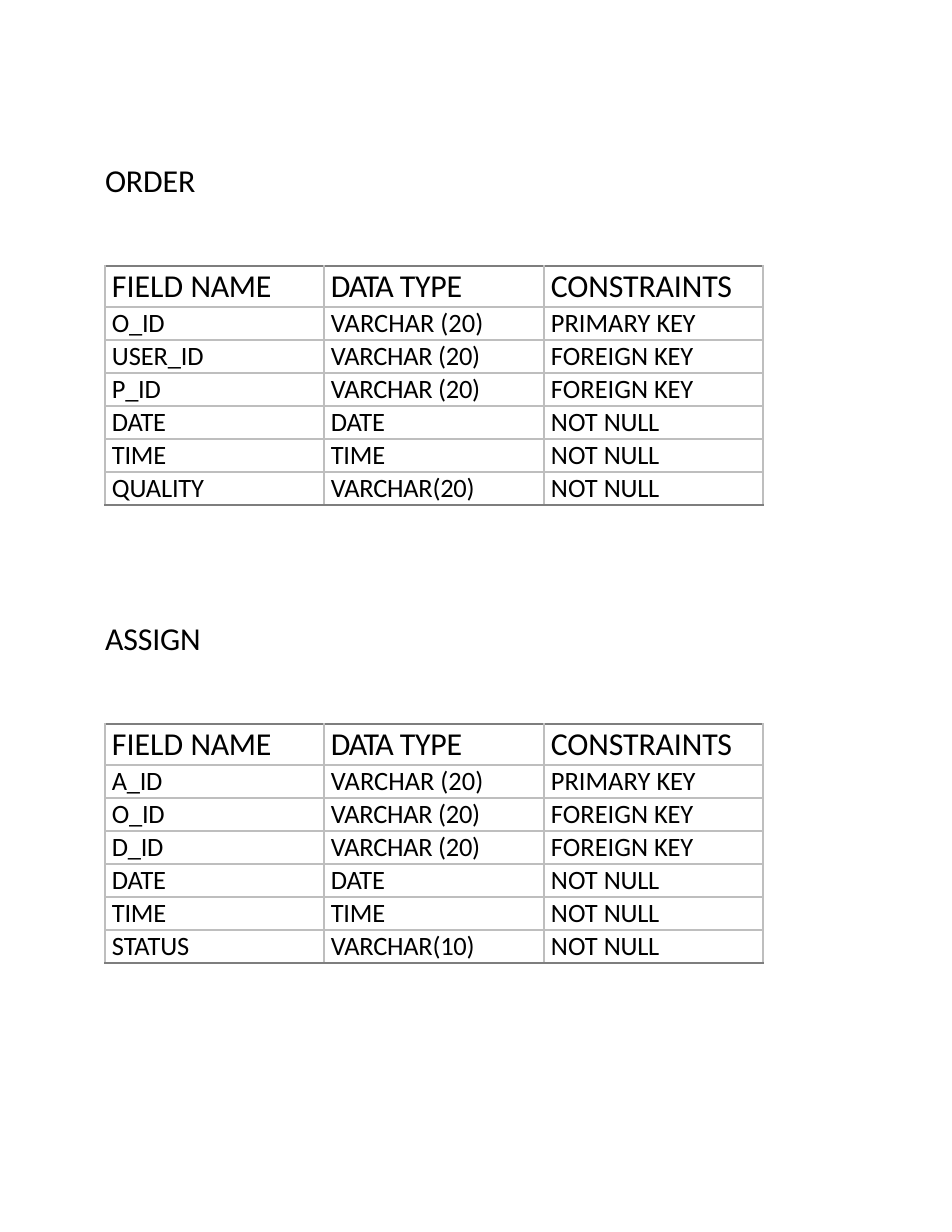
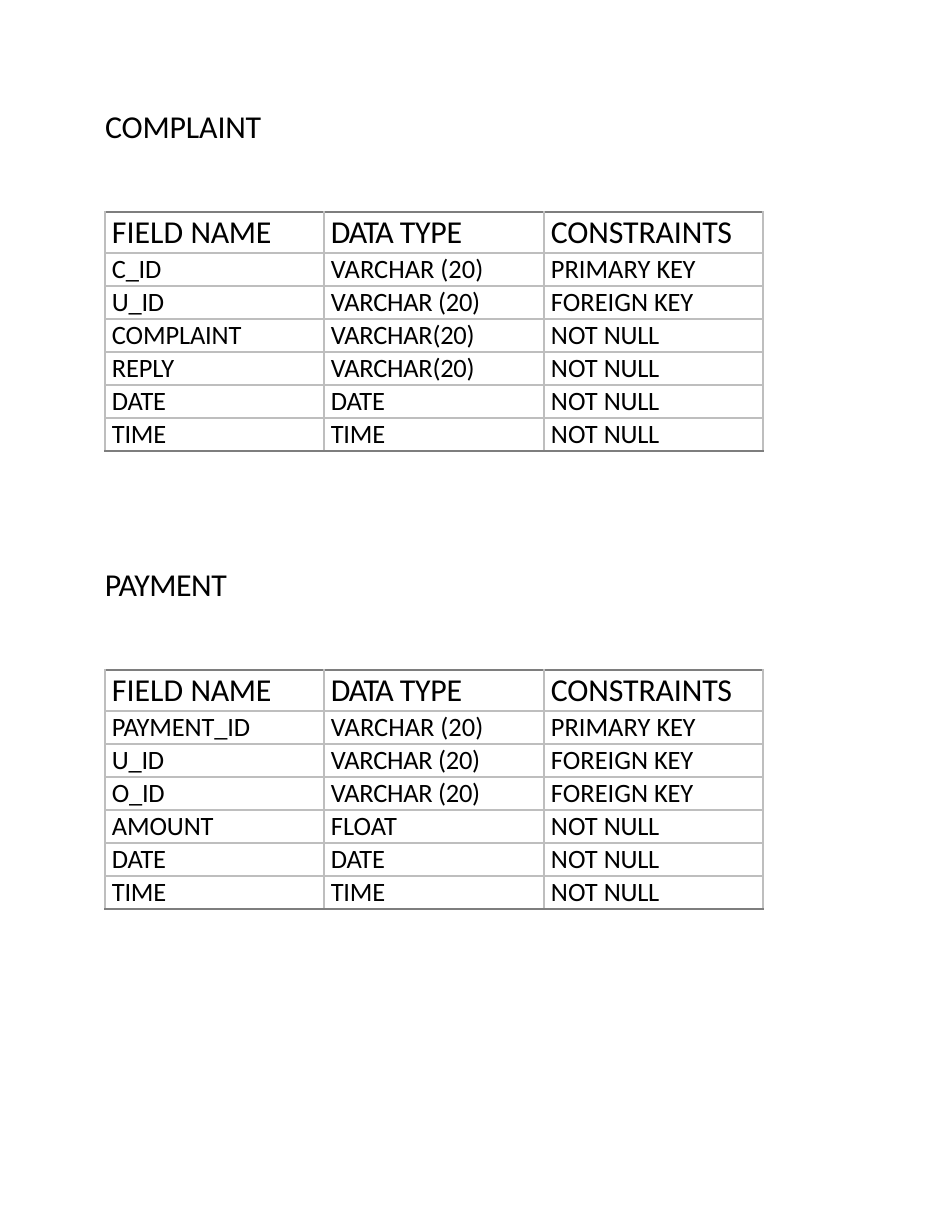
from lxml.etree import SubElement
from pptx import Presentation
from pptx.dml.color import RGBColor
from pptx.enum.text import MSO_ANCHOR, MSO_AUTO_SIZE, PP_ALIGN
from pptx.oxml.ns import qn
from pptx.util import Pt

SCALE = 914400 / 112
COLORS = {"text": "000000", "grid": "BEBEBE", "edge": "7E7E7E"}
FONT = "Calibri"
BIG, SMALL = 20.5, 17

LEFT = 105
COLS = (219, 220, 219)
HEAD_H, ROW_H = 41, 33
TITLE_H, TABLE_GAP, STEP = 41, 109, 458

# A bar marks where the letter spacing changes within a cell.
HEADER = ("FIELD |NAME", "DATA |TYPE", "CONSTRAINTS")
KEY, LINK, FULL = "PRIMARY |KEY", "FOREIGN |KEY", "NOT |NULL"
CODE, TEXT = "VARCHAR (20)", "VARCHAR(20)"
DAY, TIME = ("DATE", "DATE", FULL), ("TIME", "TIME", FULL)
TRACKS = {"DATA ": -80, "PAYMENT": -30, "FLOAT": 0}

# Each slide: top of its first heading, then (heading, width, rows).
SLIDES = [
    (157, [
        ("ORDER", 96, [
            ("O_ID", CODE, KEY), ("USER_ID", CODE, LINK),
            ("P_ID", CODE, LINK), DAY, TIME, ("QUALITY", TEXT, FULL)]),
        ("ASSIGN", 101, [
            ("A_ID", CODE, KEY), ("O_ID", CODE, LINK),
            ("D_ID", CODE, LINK), DAY, TIME,
            ("STATUS", "VARCHAR(10)", FULL)]),
    ]),
    (103, [
        ("COMPLAINT", 163, [
            ("C_ID", CODE, KEY), ("U_ID", CODE, LINK),
            ("COMPLAINT", TEXT, FULL), ("REPLY", TEXT, FULL), DAY, TIME]),
        ("PAYMENT", 129, [
            ("PAYMENT_ID", CODE, KEY), ("U_ID", CODE, LINK),
            ("O_ID", CODE, LINK), ("AMOUNT", "FLOAT", FULL), DAY, TIME]),
    ]),
]


def px(num):
    return round(num * SCALE)


def track(part):
    """Letter spacing of a piece of text, in hundredths of a point."""
    if part in TRACKS:
        return TRACKS[part]
    if part.endswith(" "):
        return 0
    return -20 if len(part) < 5 or "(" in part else -10


def write(frame, text, size, loose=False):
    para = frame.paragraphs[0]
    para.alignment = PP_ALIGN.LEFT
    para.font.size = Pt(size)
    para.font.name = FONT
    para.font.bold = False
    para.font.color.rgb = RGBColor.from_string(COLORS["text"])
    for part in text.split("|"):
        run = para.add_run()
        run.text = part
        space = 0 if loose else track(part)
        run._r.get_or_add_rPr().set("spc", str(space))


def add_head(slide, text, top, width, first):
    """The first heading is the slide's title, the next a text box."""
    area = [px(n) for n in (LEFT - 1, top, width, TITLE_H)]
    if first:
        box = slide.shapes.title
        box.left, box.top, box.width, box.height = area
    else:
        box = slide.shapes.add_textbox(*area)
    frame = box.text_frame
    frame.word_wrap = True
    frame.auto_size = MSO_AUTO_SIZE.NONE
    frame.vertical_anchor = MSO_ANCHOR.TOP
    frame.margin_left, frame.margin_top = px(1), px(4)
    frame.margin_right = frame.margin_bottom = 0
    write(frame, text, BIG)


def add_edges(cell, top, bottom):
    props = cell._tc.get_or_add_tcPr()
    sides = {"L": "grid", "R": "grid", "T": top, "B": bottom}
    for i, (side, color) in enumerate(sides.items()):
        line = SubElement(props, qn(f"a:ln{side}"), w=str(Pt(1)))
        fill = SubElement(line, qn("a:solidFill"))
        SubElement(fill, qn("a:srgbClr"), val=COLORS[color])
        props.insert(i, line)


def add_grid(slide, rows, top):
    rows = [HEADER, *rows]
    last = len(rows) - 1
    area = (LEFT, top, sum(COLS), HEAD_H + last * ROW_H)
    table = slide.shapes.add_table(
        len(rows), len(COLS), *[px(n) for n in area]).table
    table.first_row = table.horz_banding = False
    for col, width in zip(table.columns, COLS):
        col.width = px(width)
    for i, row in enumerate(rows):
        table.rows[i].height = px(ROW_H if i else HEAD_H)
        for j, text in enumerate(row):
            cell = table.cell(i, j)
            cell.fill.background()
            cell.margin_left = px(7)
            cell.margin_top = 0 if i else px(1)
            cell.margin_right = cell.margin_bottom = 0
            add_edges(cell, "grid" if i else "edge",
                      "edge" if i == last else "grid")
            write(cell.text_frame, text, SMALL if i else BIG,
                  loose=(i, j) == (1, 1))


def main():
    deck = Presentation()
    deck.slide_width, deck.slide_height = px(952), px(1232)
    for start, blocks in SLIDES:
        slide = deck.slides.add_slide(deck.slide_layouts[5])
        for i, (name, width, rows) in enumerate(blocks):
            top = start + i * STEP
            add_head(slide, name, top, width, first=i == 0)
            add_grid(slide, rows, top + TABLE_GAP)
    deck.save("out.pptx")


if __name__ == "__main__":
    main()
